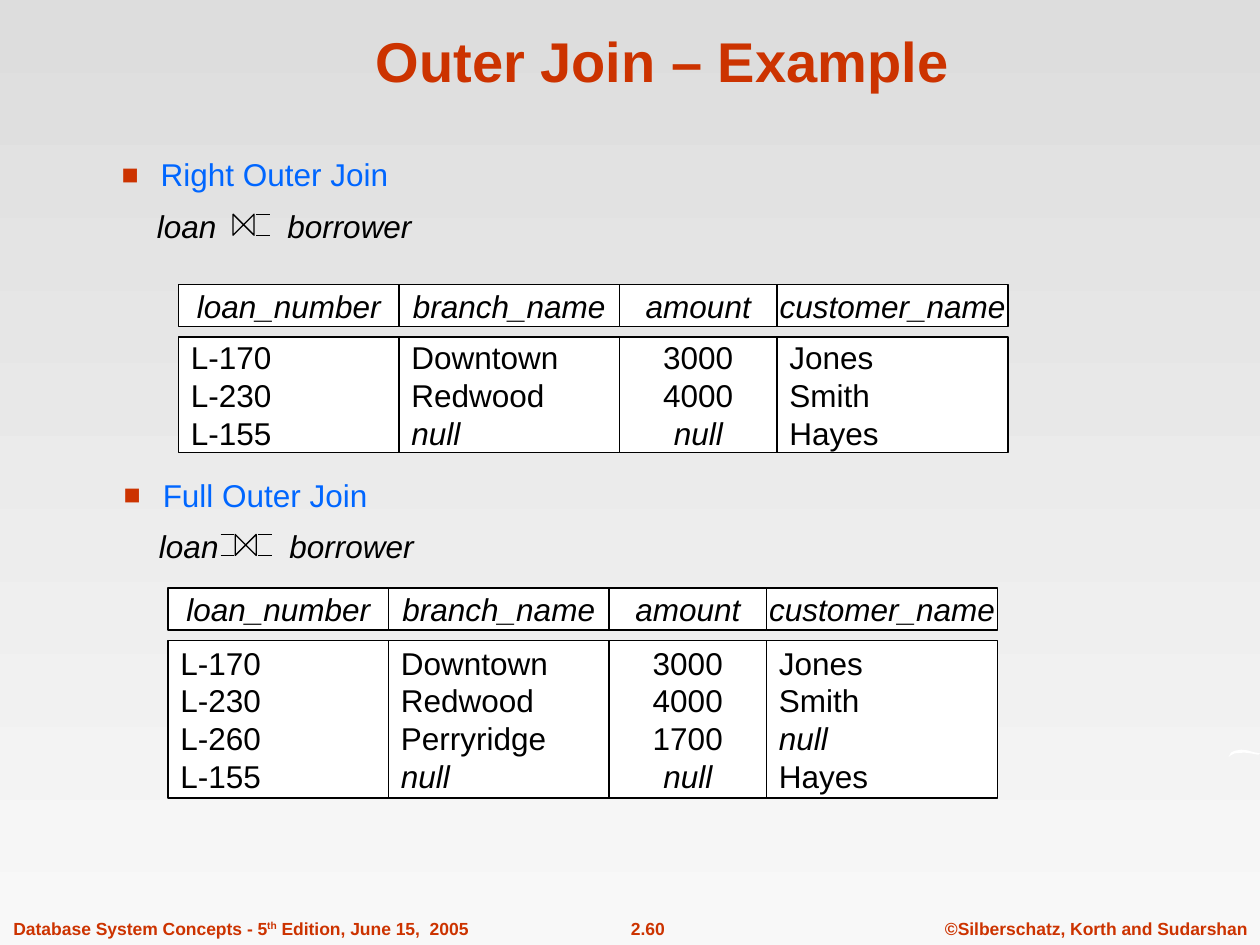
from itertools import accumulate
from lxml.etree import SubElement
from pptx import Presentation
from pptx.dml.color import RGBColor
from pptx.enum.shapes import MSO_CONNECTOR, MSO_SHAPE
from pptx.enum.text import MSO_ANCHOR, MSO_AUTO_SIZE, PP_ALIGN
from pptx.oxml.ns import qn
from pptx.util import Inches, Pt

HUES = {"red": "CC3300", "blue": "0066FF", "ink": "000000", "white": "FFFFFF",
        "top": "DDDDDD", "base": "F8F8F8"}
FONT = "Arial"
UNIT = Inches(1) / 12  # the slide is 120 columns by 90 rows
WIDTHS = (21, 21, 15, 22)
HEADS = ("loan_number", "branch_name", "amount", "customer_name")
LEFT, MID = PP_ALIGN.LEFT, PP_ALIGN.CENTER


def grid(*cells):
    return [round(cell * UNIT) for cell in cells]


def hue(name):
    return RGBColor.from_string(HUES[name])


def write(para, text, size=18, color="ink", bold=False, italic=False):
    run = para.add_run()
    run.text = text
    font = run.font
    font.name, font.size, font.bold, font.italic = FONT, Pt(size), bold, italic
    font.color.rgb = hue(color)
    return run


def add_box(slide, x, y, w, h, wrap=False):
    frame = slide.shapes.add_textbox(*grid(x, y, w, h)).text_frame
    frame.word_wrap = wrap
    frame.auto_size = MSO_AUTO_SIZE.SHAPE_TO_FIT_TEXT
    return frame


def add_title(slide, x, y, w, h):
    title = slide.shapes.title
    title.left, title.top, title.width, title.height = grid(x, y, w, h)
    frame = title.text_frame
    frame.vertical_anchor = MSO_ANCHOR.BOTTOM
    para = frame.paragraphs[0]
    para.alignment = MID
    write(para, "Outer Join – Example", 32, "red", bold=True)


def add_cell(slide, x, y, w, h, lines, align, head=False):
    cell = slide.shapes.add_shape(MSO_SHAPE.RECTANGLE, *grid(x, y, w, h))
    cell.shadow.inherit = False
    cell.fill.solid()
    cell.fill.fore_color.rgb = hue("white")
    cell.line.color.rgb = hue("ink")
    cell.line.width = Pt(0.75)
    frame = cell.text_frame
    frame.word_wrap = False
    frame.vertical_anchor = MSO_ANCHOR.MIDDLE
    for i, text in enumerate(lines):
        para = frame.add_paragraph() if i else frame.paragraphs[0]
        para.alignment = align
        write(para, text, italic=head or text == "null")


def add_relation(slide, x, y, h, rows):
    """Draw a header strip and, below a gap, one tall cell per column."""
    starts = accumulate(WIDTHS, initial=x)
    for left, wide, head, col in zip(starts, WIDTHS, HEADS, zip(*rows)):
        add_cell(slide, left, y, wide, 4, [head], MID, head=True)
        add_cell(slide, left, y + 5, wide, h, col,
                 MID if head == "amount" else LEFT)


def set_indent(para, margin, hang=0):
    props = para._p.get_or_add_pPr()
    props.set("marL", str(Inches(margin)))
    props.set("indent", str(Inches(-hang)))
    return props


def add_bullet(para):
    props = set_indent(para, 0.31, 0.31)
    color = SubElement(props, qn("a:buClr"))
    SubElement(color, qn("a:srgbClr"), val=HUES["red"])
    SubElement(props, qn("a:buSzPct"), val="90000")
    SubElement(props, qn("a:buFont"), typeface=FONT)
    SubElement(props, qn("a:buChar"), char="■")


def add_line(slide, x, y, w):
    line = slide.shapes.add_connector(MSO_CONNECTOR.STRAIGHT,
                                      *grid(x, y, x + w, y))
    line.line.color.rgb = hue("ink")
    line.line.width = Pt(0.75)
    SubElement(line._element.spPr, qn("a:effectLst"))


def add_symbol(slide, x, y, bars):
    """Draw the join bow tie, with a pair of bars at each given offset."""
    size = 2
    tie = slide.shapes.add_shape(MSO_SHAPE.FLOWCHART_COLLATE,
                                 *grid(x, y, size, size))
    tie.rotation = 270
    tie.shadow.inherit = False
    tie.fill.background()
    tie.line.color.rgb = hue("ink")
    tie.line.width = Pt(0.75)
    for shift in bars:
        for row in (y, y + size):
            add_line(slide, x + shift, row, 1.3)


def add_join(slide, x, y, name, bars):
    frame = add_box(slide, x, y, 53.4, 9.7, wrap=True)
    head = frame.paragraphs[0]
    add_bullet(head)
    write(head, name, color="blue")
    body = frame.add_paragraph()
    body.space_before = Pt(7.9)
    set_indent(body, 0.28)
    write(body, "loan", italic=True)
    # One widely tracked space leaves room for the symbol.
    gap = write(body, " ", italic=True)
    gap._r.get_or_add_rPr().set("spc", "3550")
    write(body, "borrower", italic=True)
    add_symbol(slide, x + 11.8, y + 6.2, bars)


def add_footer(slide, y, h):
    parts = ((0.1, 45.8, LEFT, ("Database System Concepts - 5", "th",
                                " Edition, June 15,  2005")),
             (55.8, 11.8, MID, ("2.60",)),
             (88.8, 31.2, MID, ("©Silberschatz, Korth and Sudarshan",)))
    for x, w, align, texts in parts:
        para = add_box(slide, x, y, w, h).paragraphs[0]
        para.alignment = align
        for text in texts:
            run = write(para, text, 10, "red", bold=True)
            if text == "th":
                run._r.get_or_add_rPr().set("baseline", "30000")


def add_swoosh(slide, x, y, w, h):
    points = ((0, 1), (0.08, 0.4), (0.2, 0.15), (0.4, 0), (0.6, 0.1),
              (0.8, 0.35), (1, 0.5), (0.95, 0.7), (0.7, 0.5), (0.5, 0.4),
              (0.2, 0.5), (0.08, 0.75))
    spots = [grid(x + w * px, y + h * py) for px, py in points]
    build = slide.shapes.build_freeform(*spots[0])
    build.add_line_segments(spots[1:], close=True)
    shape = build.convert_to_shape()
    shape.shadow.inherit = False
    shape.fill.solid()
    shape.fill.fore_color.rgb = hue("white")
    shape.line.fill.background()


def paint_back(slide):
    fill = slide.background.fill
    fill.gradient()
    fill.gradient_angle = 270
    for stop, name in zip(fill.gradient_stops, ("top", "base")):
        stop.color.rgb = hue(name)


def main():
    deck = Presentation()
    deck.slide_width, deck.slide_height = Inches(10), Inches(7.5)
    slide = deck.slides.add_slide(deck.slide_layouts[5])
    paint_back(slide)
    add_footer(slide, 86.8, 3.2)
    add_swoosh(slide, 117, 71.4, 3, 0.7)
    add_title(slide, 10.1, 1.5, 106, 8)
    add_relation(slide, 17, 27.1, 11, (
        ("L-170", "Downtown", "3000", "Jones"),
        ("L-230", "Redwood", "4000", "Smith"),
        ("L-155", "null", "null", "Hayes")))
    add_relation(slide, 16, 56, 15, (
        ("L-170", "Downtown", "3000", "Jones"),
        ("L-230", "Redwood", "4000", "Smith"),
        ("L-260", "Perryridge", "1700", "null"),
        ("L-155", "null", "null", "Hayes")))
    add_join(slide, 10.6, 44.7, "Full Outer Join", (-1.4, 2.2))
    add_join(slide, 10.4, 14.2, "Right Outer Join", (2.2,))
    deck.save("out.pptx")


if __name__ == "__main__":
    main()
